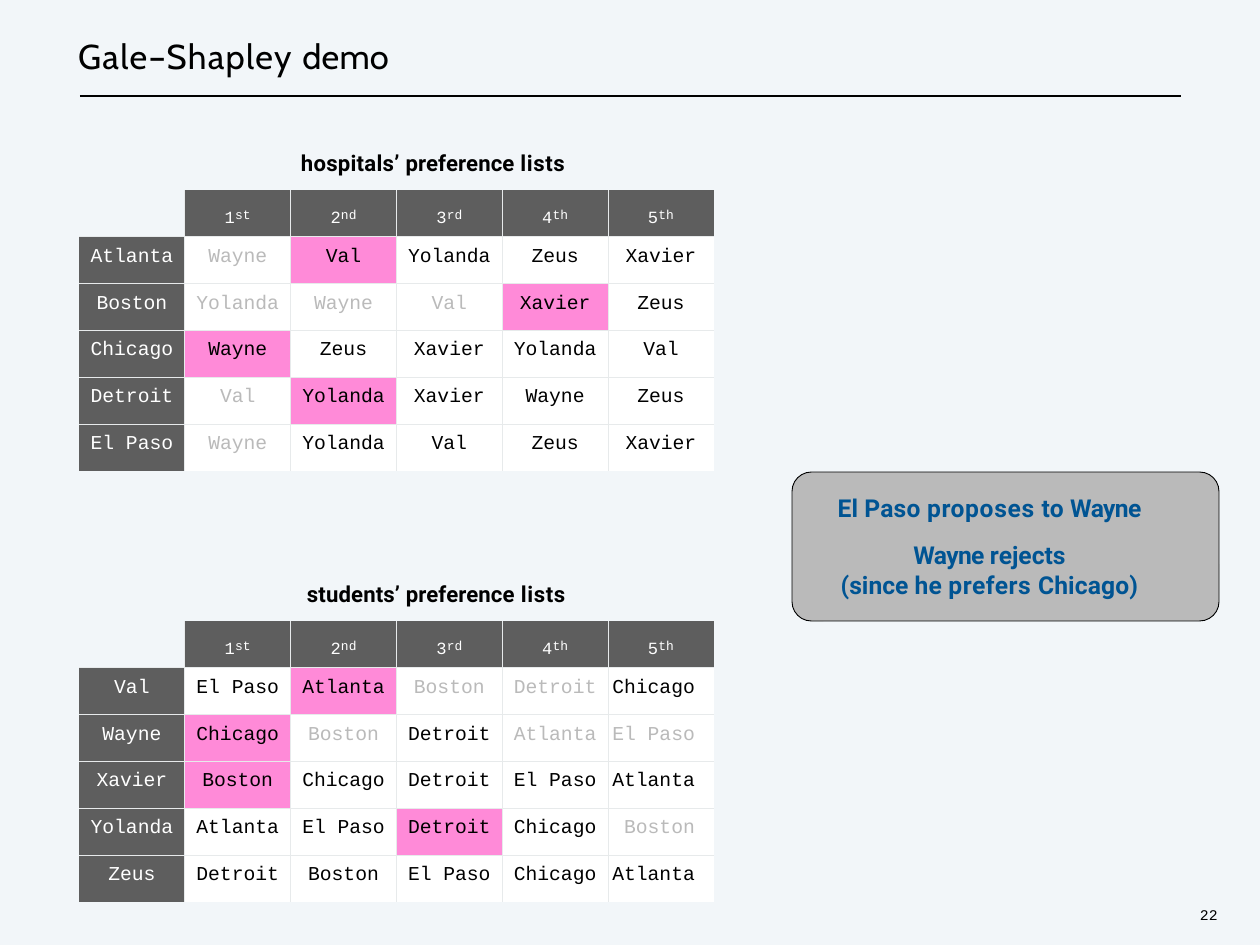
from dataclasses import dataclass

from lxml import etree
from pptx import Presentation
from pptx.dml.color import RGBColor
from pptx.enum.shapes import MSO_CONNECTOR, MSO_SHAPE
from pptx.enum.text import MSO_ANCHOR as Anchor, PP_ALIGN as Align
from pptx.oxml.ns import qn
from pptx.util import Emu, Pt

PX = 10320
PAPER, DARK, RULE = "F2F6F9", "5E5E5E", "E7EAEB"
WHITE, BLACK, GREY, PINK, BLUE = "FFFFFF", "000000", "BABABA", "FF8AD8", "005493"
MONO, SANS = "Courier New", "Roboto"
RANKS = (("1", "st"), ("2", "nd"), ("3", "rd"), ("4", "th"), ("5", "th"))


@dataclass
class Style:
    size: float
    font: str
    color: str
    bold: bool = False


@dataclass
class Prefs:
    """One table of preferences: * marks a match, - a rejection."""
    left: int
    head: list
    top: int
    rows: list
    last: Align = Align.CENTER


HEAD = Style(18, SANS, BLACK, True)
CALL = Style(20, SANS, BLUE, True)

LISTS = [
    Prefs(301, [("hospitals’ ", 0.2), ("preference ", 0.1), ("lists", 0.5)], 190, [
        "Atlanta,-Wayne,*Val,Yolanda,Zeus,Xavier",
        "Boston,-Yolanda,-Wayne,-Val,*Xavier,Zeus",
        "Chicago,*Wayne,Zeus,Xavier,Yolanda,Val",
        "Detroit,-Val,*Yolanda,Xavier,Wayne,Zeus",
        "El Paso,-Wayne,Yolanda,Val,Zeus,Xavier",
    ]),
    Prefs(307, [("students’ preference ", 0.1), ("lists", 0.5)], 621, [
        "Val,El Paso,*Atlanta,-Boston,-Detroit,Chicago",
        "Wayne,*Chicago,-Boston,Detroit,-Atlanta,-El Paso",
        "Xavier,*Boston,Chicago,Detroit,El Paso,Atlanta",
        "Yolanda,Atlanta,El Paso,*Detroit,Chicago,-Boston",
        "Zeus,Detroit,Boston,El Paso,Chicago,Atlanta",
    ], Align.RIGHT),
]
NOTES = [
    (0, [("El Paso ", 0.1), ("proposes ", 0.5), ("to ", 0.1), ("Wayne", -0.5)]),
    (14, [("Wayne ", -0.5), ("rejects", 0)]),
    (1, [("(since ", 0), ("he ", 0.1), ("prefers ", 0.4), ("Chicago)", 0.1)]),
]


def px(n: float) -> Emu:
    return Emu(round(n * PX))


def rgb(code: str) -> RGBColor:
    return RGBColor.from_string(code)


def paint(fill, code: str) -> None:
    fill.solid()
    fill.fore_color.rgb = rgb(code)


def add_run(para, text: str, style: Style, gap: float = 0, base: int = 0) -> None:
    """Add a run; gap is letter spacing in points, base a shift in percent."""
    run = para.add_run()
    run.text = text
    font = run.font
    font.size, font.name, font.bold = Pt(style.size), style.font, style.bold
    font.color.rgb = rgb(style.color)
    props = run._r.get_or_add_rPr()
    if gap:
        props.set("spc", str(round(gap * 100)))
    if base:
        props.set("baseline", str(base * 1000))


def add_runs(para, runs: list, style: Style) -> None:
    for text, gap in runs:
        add_run(para, text, style, gap)


def set_frame(frame, top: int = 1, right: int = 0) -> None:
    frame.margin_left = frame.margin_bottom = 0
    frame.margin_top, frame.margin_right = px(top), px(right)
    frame.vertical_anchor, frame.word_wrap = Anchor.TOP, True


def add_text(slide, left: int, top: int, wide: int, high: int):
    """Add a text box and return its first paragraph."""
    frame = slide.shapes.add_textbox(px(left), px(top), px(wide), px(high)).text_frame
    set_frame(frame)
    para = frame.paragraphs[0]
    para.space_before = Pt(1)
    return para


def add_title(slide) -> None:
    title = slide.shapes.title
    title.left, title.top, title.width, title.height = px(78), px(34), px(600), px(43)
    set_frame(title.text_frame)
    para = title.text_frame.paragraphs[0]
    para.alignment, para.space_before = Align.LEFT, Pt(1)
    add_runs(para, [("Gale–Shapley ", 1.1), ("demo", 0.2)], Style(28, "Cabin", BLACK))


def add_rule(slide) -> None:
    line = slide.shapes.add_connector(MSO_CONNECTOR.STRAIGHT, px(80), px(96), px(1181), px(96))
    line.line.color.rgb, line.line.width = rgb(BLACK), Pt(1)
    etree.SubElement(line._element.spPr, qn("a:effectLst"))


def set_edges(cell, shown: dict) -> None:
    """Draw the shown sides of a cell and clear the others."""
    props = cell._tc.get_or_add_tcPr()
    for spot, (side, on) in enumerate(shown.items()):
        edge = etree.Element(qn("a:ln" + side), w=str(Pt(1) if on else 0))
        fill = etree.SubElement(edge, qn("a:solidFill" if on else "a:noFill"))
        if on:
            etree.SubElement(fill, qn("a:srgbClr"), val=RULE)
        props.insert(spot, edge)


def fill_cell(cell, row: int, col: int, text: str, align: Align) -> None:
    cell.margin_left = cell.margin_right = cell.margin_bottom = 0
    para = cell.text_frame.paragraphs[0]
    para.alignment = align
    back, ink = WHITE, BLACK
    if row == 0 and col == 0:
        back = PAPER
    elif row == 0:
        back = DARK
        cell.margin_top, para.space_before = px(5), Pt(4.1)
        digit, tail = RANKS[col - 1]
        add_run(para, digit, Style(24, MONO, WHITE), 0.1, -14)
        add_run(para, tail, Style(10.5, MONO, WHITE), 0.1)
    else:
        if col == 0:
            back, ink = DARK, WHITE
        elif text[0] == "*":
            back = PINK
        elif text[0] == "-":
            ink = GREY
        cell.margin_top, para.space_before = px(9), Pt(7)
        if align == Align.RIGHT:
            cell.margin_right = px(19)
        add_run(para, text.lstrip("*-"), Style(16, MONO, ink))
    paint(cell.fill, back)


def add_prefs(slide, prefs: Prefs) -> None:
    add_runs(add_text(slide, prefs.left, prefs.top - 42, 300, 29), prefs.head, HEAD)
    names = [[""] * 6] + [row.split(",") for row in prefs.rows]
    size = len(names)
    wide, high = px(635), px(281)
    table = slide.shapes.add_table(size, size, px(79), px(prefs.top), wide, high).table
    for n in range(size):
        table.columns[n].width = Emu(wide // size)
        table.rows[n].height = Emu(high // size)
    end = size - 1
    for row, line in enumerate(names):
        for col, text in enumerate(line):
            cell = table.cell(row, col)
            align = prefs.last if row and col == end else Align.CENTER
            fill_cell(cell, row, col, text, align)
            set_edges(cell, {"L": col > 0, "R": col < end, "T": row > 0, "B": row < end})


def add_callout(slide) -> None:
    box = slide.shapes.add_shape(
        MSO_SHAPE.ROUNDED_RECTANGLE, px(792), px(472), px(427), px(149))
    box.adjustments[0] = 0.13
    box.shadow.inherit = False
    paint(box.fill, GREY)
    box.line.color.rgb, box.line.width = rgb(BLACK), Pt(0.75)
    frame = box.text_frame
    set_frame(frame, 15, 32)
    for n, (space, runs) in enumerate(NOTES):
        para = frame.add_paragraph() if n else frame.paragraphs[0]
        para.alignment, para.space_before = Align.CENTER, Pt(space)
        add_runs(para, runs, CALL)


def main() -> None:
    deck = Presentation()
    deck.slide_width, deck.slide_height = px(1260), px(945)
    slide = deck.slides.add_slide(deck.slide_layouts[5])
    paint(slide.background.fill, PAPER)
    add_title(slide)
    add_rule(slide)
    for prefs in LISTS:
        add_prefs(slide, prefs)
    add_callout(slide)
    add_run(add_text(slide, 1200, 905, 40, 20), "22", Style(12, MONO, BLACK))
    deck.save("out.pptx")


if __name__ == "__main__":
    main()
